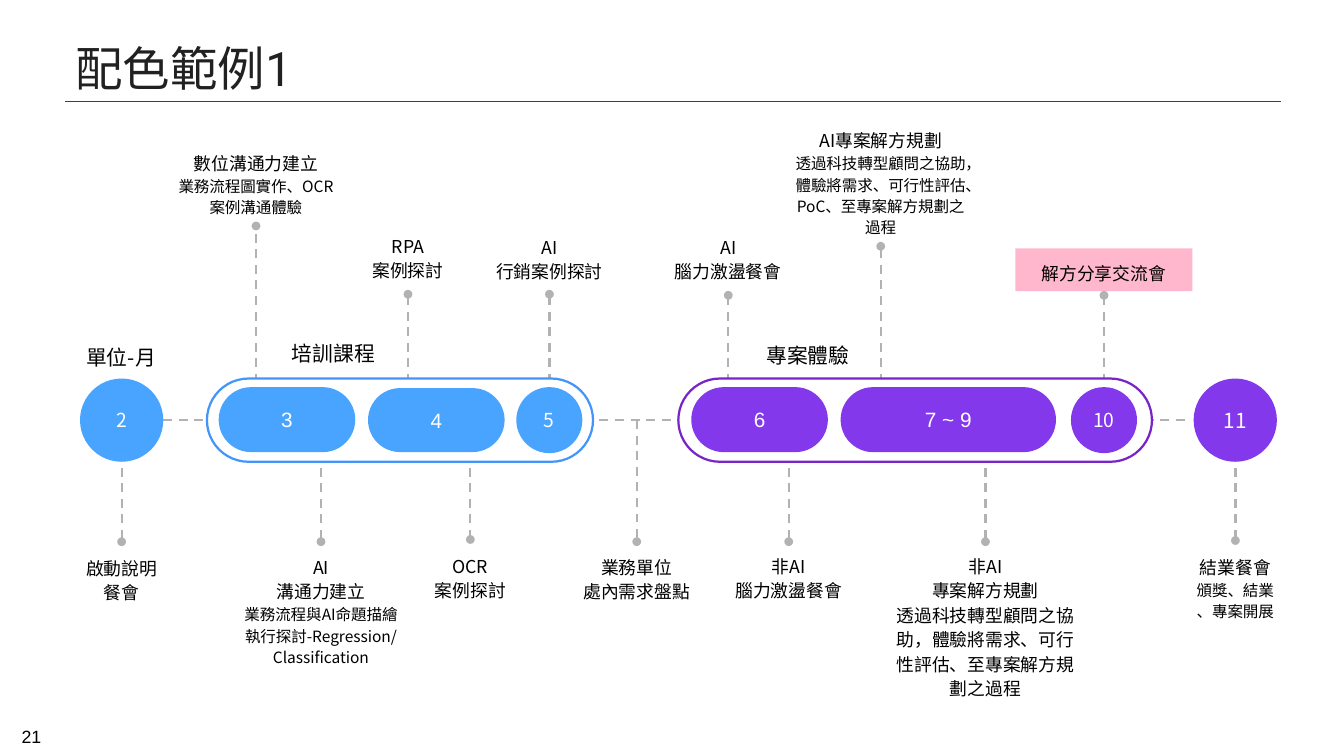
from copy import deepcopy

from lxml import etree
from pptx import Presentation
from pptx.dml.color import RGBColor
from pptx.enum.dml import MSO_LINE
from pptx.enum.shapes import MSO_CONNECTOR, MSO_SHAPE
from pptx.enum.text import MSO_ANCHOR, PP_ALIGN
from pptx.oxml.ns import qn
from pptx.util import Pt

STRAIGHT = MSO_CONNECTOR.STRAIGHT
DASH = MSO_LINE.DASH
RECT, OVAL, PILL = MSO_SHAPE.RECTANGLE, MSO_SHAPE.OVAL, MSO_SHAPE.ROUNDED_RECTANGLE
TOP, MIDDLE, BOTTOM = MSO_ANCHOR.TOP, MSO_ANCHOR.MIDDLE, MSO_ANCHOR.BOTTOM
LEFT, CENTER = PP_ALIGN.LEFT, PP_ALIGN.CENTER

BLACK = RGBColor(0x00, 0x00, 0x00)
WHITE = RGBColor(0xFF, 0xFF, 0xFF)
TITLE_INK = RGBColor(0x21, 0x21, 0x21)
RULE = RGBColor(0x40, 0x40, 0x40)
GREY = RGBColor(0xB2, 0xB2, 0xB2)
BLUE = RGBColor(0x49, 0xA4, 0xFF)
BLUE_EDGE = RGBColor(0x44, 0x95, 0xF9)
PURPLE = RGBColor(0x83, 0x38, 0xEC)
PURPLE_EDGE = RGBColor(0x78, 0x24, 0xC7)
PINK = RGBColor(0xFF, 0xB7, 0xCE)

CJK = "Noto Sans CJK TC"
LATIN = "Arial"
TITLE_FONT = "Roboto"

AXIS_Y = 283.7
STEM_TOP, STEM_BOTTOM = 258.5, 305.3
LABEL_W = 119.5

# stem x, dot y, label top, label width, label height, heading, detail, detail size
EVENTS_ABOVE = [
    (172.8, 152.6, 93.6, LABEL_W, 58.3, "數位溝通力建立", "業務流程圖實作、OCR案例溝通體驗", 10.5),
    (275.4, 198.7, 149.8, LABEL_W, 46, "RPA\n案例探討", None, 0),
    (370.9, 198.7, 150.5, 141.8, 46, "AI\n行銷案例探討", None, 0),
    (491.6, 199.4, 150.5, LABEL_W, 46, "AI\n腦力激盪餐會", None, 0),
    (594.5, 166.3, 78.5, 134.6, 87.8, "AI專案解方規劃",
     "透過科技轉型顧問之協助，體驗將需求、可行性評估、PoC、至專案解方規劃之過程", 10.5),
]
EVENTS_BELOW = [
    (82.1, 365.8, 367.2, LABEL_W, 46, "啟動說明\n餐會", None, 0),
    (216.7, 365.8, 366.5, LABEL_W, 90, "AI\n溝通力建立",
     "業務流程與AI命題描繪執行探討-Regression/\nClassification", 10.5),
    (317.5, 364.3, 365.8, LABEL_W, 46, "OCR\n案例探討", None, 0),
    (429.8, 365.8, 366.5, LABEL_W, 46, "業務單位\n處內需求盤點", None, 0),
    (532.4, 365.8, 365.8, LABEL_W, 46, "非AI\n腦力激盪餐會", None, 0),
    (665.2, 365.8, 365.8, 142.6, 129.6, "非AI\n專案解方規劃",
     "透過科技轉型顧問之協助，體驗將需求、可行性評估、至專案解方規劃之過程", 12),
    (833.9, 365, 366.5, 141.8, 61.2, "結業餐會", "頒獎、結業\n、專案開展", 10.5),
]
DEMAND_REVIEW_X = 429.8

# shape, left, top, width, height, fill, text, size, font
MONTHS = [
    (OVAL, 54, 255.6, 56.2, 56.2, BLUE, "2", 13, CJK),
    (PILL, 147.6, 261.4, 92.2, 43.9, BLUE, "3", 14, LATIN),
    (PILL, 248.4, 262.1, 92.2, 43.2, BLUE, "4", 14, LATIN),
    (OVAL, 348.5, 261.4, 44.6, 44.6, BLUE, "5", 13, CJK),
    (PILL, 466.6, 261.4, 92.2, 43.9, PURPLE, "6", 14, LATIN),
    (PILL, 567.4, 261.4, 145.4, 43.9, PURPLE, "7 ~ 9", 14, LATIN),
    (OVAL, 722.9, 261.4, 44.6, 44.6, PURPLE, "10", 13, CJK),
    (OVAL, 805.7, 255.6, 56.2, 56.2, PURPLE, "11", 14, CJK),
]


def add_text(tf, text, size=12, font=CJK, color=BLACK, align=CENTER, anchor=TOP,
             spacing=None, margin_y=7.2, new_paragraph=False):
    """Write one paragraph into tf; a newline in text becomes a line break."""
    tf.word_wrap = True
    tf.vertical_anchor = anchor
    tf.margin_left = tf.margin_right = Pt(7.2)
    tf.margin_top = tf.margin_bottom = Pt(margin_y)
    p = tf.add_paragraph() if new_paragraph else tf.paragraphs[0]
    p.alignment = align
    if spacing:
        p.line_spacing = spacing
    for i, line in enumerate(text.split("\n")):
        if i:
            p.add_line_break()
            p._p[-1].append(deepcopy(r._r.rPr))
        r = p.add_run()
        r.text = line
        r.font.size, r.font.name = Pt(size), font
        r.font.color.rgb = color
        ea = etree.SubElement(r._r.rPr, qn("a:ea"))
        ea.set("typeface", font if font == LATIN else CJK)


def add_box(s, x, y, w, h, text, **fmt):
    tf = s.shapes.add_textbox(Pt(x), Pt(y), Pt(w), Pt(h)).text_frame
    add_text(tf, text, **fmt)
    return tf


def add_shape(s, kind, x, y, w, h, fill, edge=None):
    sp = s.shapes.add_shape(kind, Pt(x), Pt(y), Pt(w), Pt(h))
    sp.shadow.inherit = False
    sp.fill.solid()
    sp.fill.fore_color.rgb = fill
    if kind == PILL:
        sp.adjustments[0] = 0.5
    if edge:
        sp.line.color.rgb = edge
        sp.line.width = Pt(1.5)
    else:
        sp.line.fill.background()
    return sp


def add_line(s, x1, y1, x2, y2, color=GREY, width=1.5, dash=DASH, dot=False):
    """Draw a straight line, with a round dot at its far end if asked."""
    c = s.shapes.add_connector(STRAIGHT, Pt(x1), Pt(y1), Pt(x2), Pt(y2))
    c.line.color.rgb = color
    c.line.width = Pt(width)
    if dash:
        c.line.dash_style = dash
    if dot:
        etree.SubElement(c.line._get_or_add_ln(), qn("a:tailEnd")).set("type", "oval")
    etree.SubElement(c._element.spPr, qn("a:effectLst"))


def add_event(s, start_y, event):
    x, dot_y, top, w, h, heading, detail, detail_size = event
    add_line(s, x, start_y, x, dot_y, dot=True)
    tf = add_box(s, x - w / 2, top, w, h, heading, spacing=1.15)
    if detail:
        add_text(tf, detail, size=detail_size, spacing=1.15, new_paragraph=True)


def main():
    prs = Presentation()
    prs.slide_width, prs.slide_height = Pt(907.2), Pt(510.5)
    s = prs.slides.add_slide(prs.slide_layouts[6])

    add_box(s, 43.9, 22.3, 820.8, 46.1, "配色範例1", size=32, font=TITLE_FONT,
            color=TITLE_INK, align=LEFT, anchor=MIDDLE, margin_y=3.6)
    add_line(s, 43.9, 68.4, 864.7, 68.4, color=RULE, width=0.75, dash=None)
    add_box(s, 1.4, 491, 39.6, 17.3, "21", font=LATIN, anchor=BOTTOM, margin_y=3.6)

    add_line(s, 110.2, AXIS_Y, 804.2, AXIS_Y)
    for event in EVENTS_ABOVE:
        add_event(s, STEM_TOP, event)
    for event in EVENTS_BELOW:
        add_event(s, AXIS_Y if event[0] == DEMAND_REVIEW_X else STEM_BOTTOM, event)

    sharing = add_shape(s, RECT, 685.4, 167.8, LABEL_W, 28.8, PINK)
    add_text(sharing.text_frame, "解方分享交流會", spacing=1.15)
    add_line(s, 745.2, STEM_TOP, 745.2, 199.4, dot=True)

    add_box(s, 51.1, 225.4, 70.6, 31.7, "單位-月", size=14, align=LEFT)
    add_box(s, 144, 223.2, 162, 31.7, "培訓課程", size=14)
    add_box(s, 464.4, 224.6, 162, 31.7, "專案體驗", size=14)

    add_shape(s, PILL, 139.7, 255.6, 260.6, 56.2, WHITE, BLUE_EDGE)
    add_shape(s, PILL, 457.9, 255.6, 319.7, 56.2, WHITE, PURPLE_EDGE)
    for kind, x, y, w, h, fill, text, size, font in MONTHS:
        sp = add_shape(s, kind, x, y, w, h, fill)
        add_text(sp.text_frame, text, size=size, font=font, color=WHITE, anchor=MIDDLE)

    prs.save("out.pptx")


if __name__ == "__main__":
    main()
